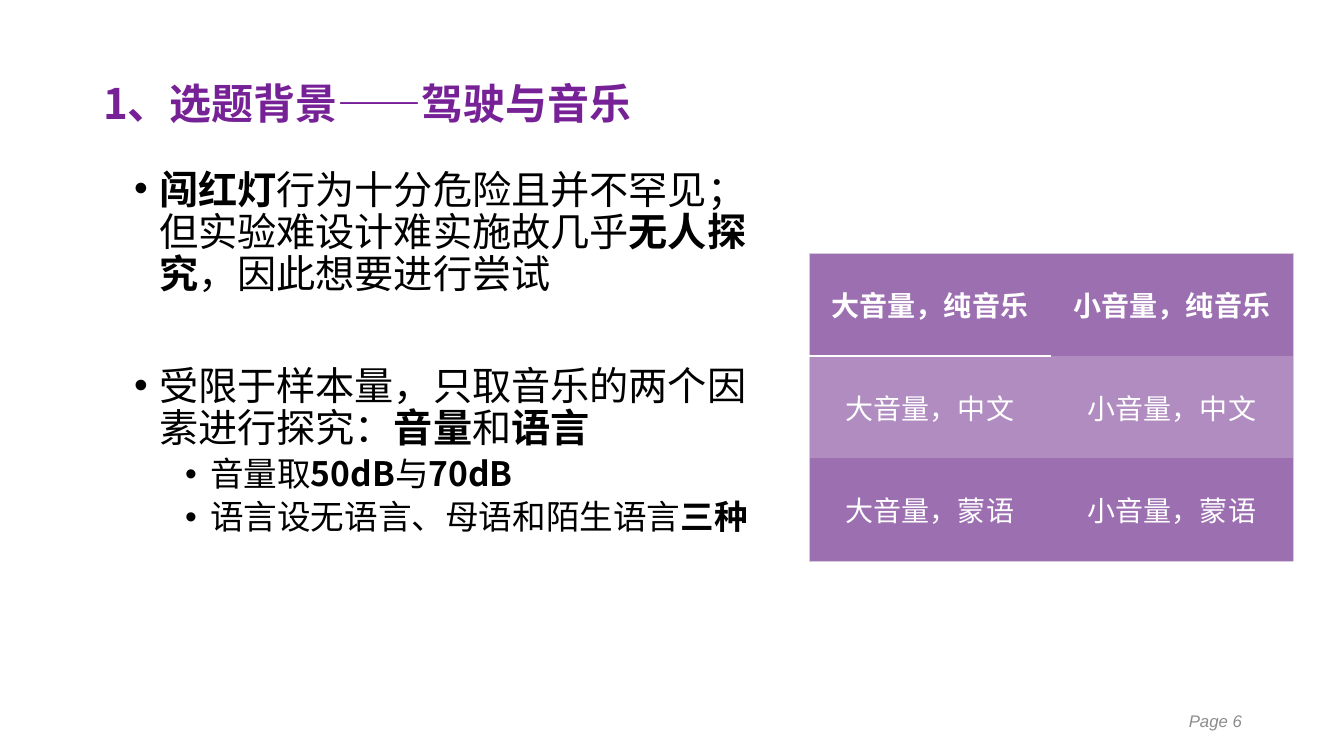
from lxml.etree import SubElement
from pptx import Presentation
from pptx.dml.color import RGBColor as Rgb
from pptx.enum.text import MSO_ANCHOR as Anchor, MSO_AUTO_SIZE as Fit, PP_ALIGN as Align
from pptx.oxml import parse_xml
from pptx.oxml.ns import nsdecls, qn
from pptx.util import Emu, Pt

SCALE = 914400 / 100.8
HAN, LATIN = "Noto Sans CJK SC", "Arial"
PLAIN = "{2D5ABB26-0587-4C30-8999-92F81FD0307C}"
COLORS = {"title": "772197", "text": "000000", "page": "8C8C8C", "white": "FFFFFF",
          "dark": "9C6FB1", "light": "B08CC1", "edge": "D5C9DC"}

# Each point: level, space before, runs; every second run is bold.
POINTS = [
    (0, 0, ["", "闯红灯", "行为十分危险且并不罕见；但实验难设计难实施故几乎",
            "无人探究", "，因此想要进行尝试"]),
    (0, 50.5, ["受限于样本量，只取音乐的两个因素进行探究：", "音量", "和", "语言"]),
    (1, 5, ["音量取", "50dB", "与", "70dB"]),
    (1, 5, ["语言设无语言、母语和陌生语言", "三种"]),
]
LEVELS = [{"size": 28, "line": 30, "left": 25}, {"size": 24, "line": 25.7, "left": 76}]
GROUPS = [["大音量，纯音乐", "小音量，纯音乐"],
          ["大音量，中文", "小音量，中文"],
          ["大音量，蒙语", "小音量，蒙语"]]


def px(n):
    return Emu(round(n * SCALE))


def place(shape, *box):
    shape.left, shape.top, shape.width, shape.height = map(px, box)


def style(para, size, color, name, bold=None, italic=None):
    font = para.font
    font.size, font.name, font.bold, font.italic = Pt(size), name, bold, italic
    font.color.rgb = Rgb.from_string(COLORS[color])
    SubElement(para._p.pPr.find(qn("a:defRPr")), qn("a:ea"), typeface=HAN)


def add_title(slide):
    title = slide.shapes.title
    place(title, 93, 73, 726, 65)
    frame = title.text_frame
    frame.text = "1、选题背景——驾驶与音乐"
    frame.auto_size, frame.vertical_anchor = Fit.NONE, Anchor.MIDDLE
    para = frame.paragraphs[0]
    para.alignment, para.line_spacing = Align.LEFT, 0.9
    style(para, 30, "title", HAN, True)


def add_bullet(para, left):
    props = para._p.get_or_add_pPr()
    props.set("marL", str(px(left)))
    props.set("indent", str(-px(25)))
    SubElement(props, qn("a:buFont"), typeface=LATIN)
    SubElement(props, qn("a:buChar"), char="•")


def add_points(slide):
    body = slide.placeholders[1]
    place(body, 124, 161, 668, 489)
    frame = body.text_frame
    frame.auto_size, frame.vertical_anchor = Fit.NONE, Anchor.TOP
    frame.margin_top = px(9)
    for i, (level, gap, runs) in enumerate(POINTS):
        para = frame.add_paragraph() if i else frame.paragraphs[0]
        look = LEVELS[level]
        para.level = level
        add_bullet(para, look["left"])
        para.alignment = Align.LEFT
        para.space_before, para.line_spacing = Pt(gap), Pt(look["line"])
        style(para, look["size"], "text", HAN)
        for k, text in enumerate(runs):
            if text:
                run = para.add_run()
                run.text, run.font.bold = text, k % 2 == 1


def add_edges(cell, edges):
    """Draw cell borders, given in the order left, right, top, bottom."""
    props = cell._tc.get_or_add_tcPr()
    for i, (side, color, width) in enumerate(edges):
        props.insert(i, parse_xml(
            f'<a:ln{side} {nsdecls("a")} w="{Pt(width)}"><a:solidFill>'
            f'<a:srgbClr val="{COLORS[color]}"/></a:solidFill></a:ln{side}>'))


def add_groups(slide):
    rows, cols = len(GROUPS), len(GROUPS[0])
    box = map(px, (809, 253, 484, 308))
    table = slide.shapes.add_table(rows, cols, *box).table
    table._tbl.tblPr.find(qn("a:tableStyleId")).text = PLAIN
    for r, row in enumerate(GROUPS):
        for c, text in enumerate(row):
            cell = table.cell(r, c)
            cell.text, cell.vertical_anchor = text, Anchor.MIDDLE
            para = cell.text_frame.paragraphs[0]
            para.alignment = Align.CENTER
            style(para, 20, "white", LATIN, r == 0)
            cell.fill.solid()
            cell.fill.fore_color.rgb = Rgb.from_string(COLORS["light" if r % 2 else "dark"])
            outer = {"L": c == 0, "R": c == cols - 1, "T": r == 0, "B": r == rows - 1}
            edges = [(side, "edge", 0.5) for side, shown in outer.items() if shown]
            if r == c == 0:
                edges.append(("B", "white", 1.5))
            add_edges(cell, edges)


def add_page(slide):
    frame = slide.shapes.add_textbox(*map(px, (950, 701, 302, 40))).text_frame
    frame.word_wrap, frame.vertical_anchor = True, Anchor.MIDDLE
    frame.text = "Page 6"
    para = frame.paragraphs[0]
    para.alignment = Align.RIGHT
    style(para, 12, "page", LATIN, italic=True)


def main():
    deck = Presentation()
    deck.slide_width, deck.slide_height = px(1344), px(756)
    slide = deck.slides.add_slide(deck.slide_layouts[1])
    add_points(slide)
    add_title(slide)
    add_groups(slide)
    add_page(slide)
    deck.save("out.pptx")


if __name__ == "__main__":
    main()
